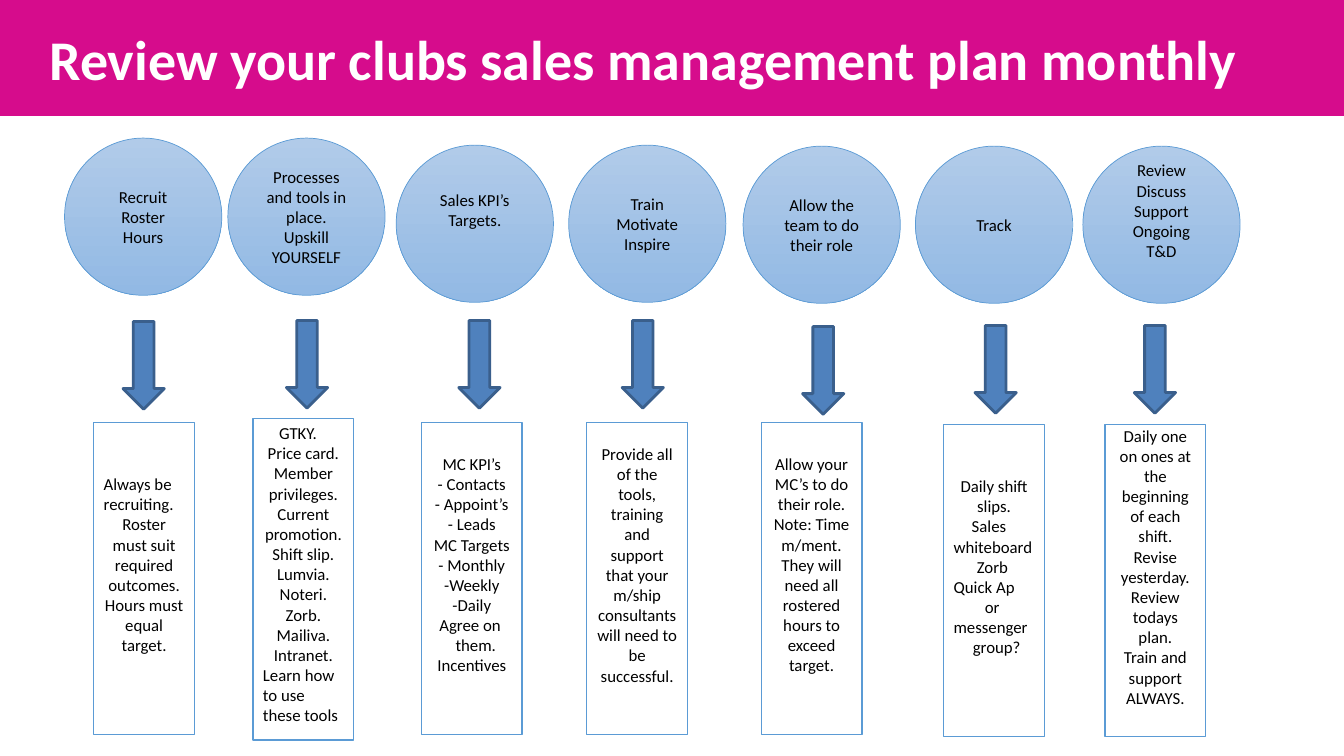
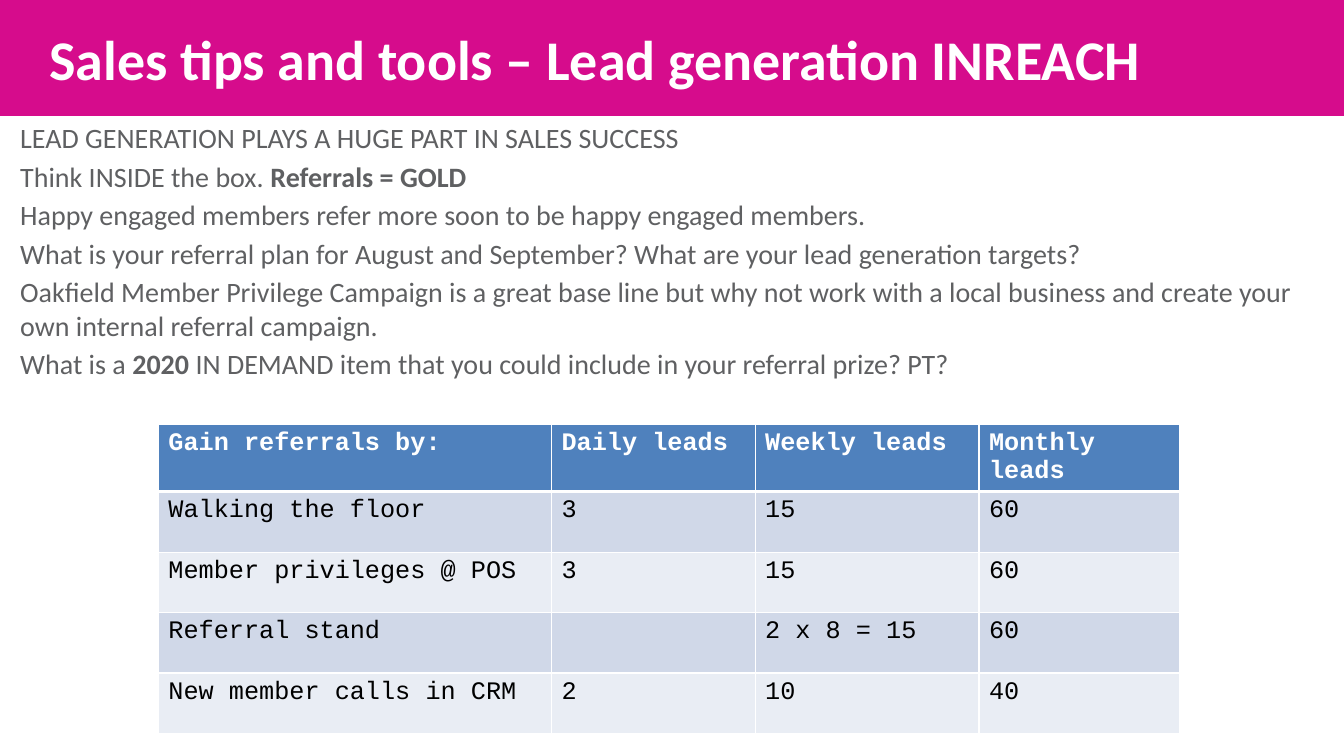
from dataclasses import dataclass

from pptx import Presentation
from pptx.dml.color import RGBColor
from pptx.enum.shapes import MSO_SHAPE
from pptx.enum.text import MSO_ANCHOR, MSO_AUTO_SIZE, PP_ALIGN
from pptx.oxml import parse_xml
from pptx.oxml.ns import nsdecls
from pptx.util import Inches, Pt

# Colours
WHITE = RGBColor(0xFF, 0xFF, 0xFF)
BLACK = RGBColor(0x00, 0x00, 0x00)
PINK = RGBColor(0xD6, 0x0C, 0x8C)
GREY = RGBColor(0x5F, 0x60, 0x62)
SKY_TOP = RGBColor(0xB1, 0xCB, 0xE9)
SKY_BOTTOM = RGBColor(0x92, 0xB9, 0xE4)
OUTLINE = RGBColor(0x5B, 0x9B, 0xD5)
BLUE = RGBColor(0x4F, 0x81, 0xBD)
BLUE_EDGE = RGBColor(0x3A, 0x5F, 0x8C)
BAND_DARK = RGBColor(0xD0, 0xD8, 0xE8)
BAND_LIGHT = RGBColor(0xE9, 0xED, 0xF4)

TITLE_ONLY, TITLE_AND_BODY = 5, 1
CIRCLE, ARROW_W, ARROW_H, BOX_W = 1.56, 0.41, 0.87, 1.0


@dataclass
class Step:
    """One column: a circle, an arrow and a box, each placed by left and top.

    A line is centred text, or (text, first-line indent) when left-aligned.
    A lift is the extra room kept free below the text.
    """
    circle: tuple
    topic: list
    arrow: tuple
    box: tuple
    actions: list
    box_height: float = 3.1
    topic_lift: float = 0
    action_lift: float = 0.28


STEPS = [
    Step((0.64, 1.37), ["Recruit", "Roster", "Hours"], (1.22, 3.19), (0.93, 4.19),
         [("Always be recruiting.", 0), "Roster must suit required outcomes.",
          "Hours must equal target."]),
    Step((2.26, 1.37), ["Processes and tools in place.", "Upskill YOURSELF"],
         (2.84, 3.18), (2.51, 4.15),
         [("GTKY.", 0.16), "Price card.", "Member privileges.", "Current promotion.",
          "Shift slip.", "Lumvia.", "Noteri.", "Zorb.", "Mailiva.", "Intranet.",
          ("Learn how to use these tools", 0)],
         box_height=3.19, action_lift=0.1),
    Step((3.93, 1.44), ["Sales KPI’s", "Targets."], (4.55, 3.18), (4.18, 4.19),
         ["MC KPI’s", "- Contacts", "- Appoint’s", "- Leads", "MC Targets",
          "- Monthly", "-Weekly", "-Daily", ("Agree on", 0.08), ("them.", 0.24),
          "Incentives"],
         topic_lift=0.28),
    Step((5.64, 1.44), ["Train", "Motivate", "Inspire"], (6.17, 3.18), (5.82, 4.19),
         ["Provide all of the tools, training and support that your m/ship "
          "consultants will need to be successful."]),
    Step((7.37, 1.45), ["Allow the team to do their role"], (7.96, 3.24), (7.55, 4.19),
         ["Allow your MC’s to do their role.", "Note: Time m/ment.",
          "They will need all rostered hours to exceed target."]),
    Step((9.08, 1.45), ["Track"], (9.67, 3.23), (9.36, 4.21),
         ["Daily shift slips.", ("Sales whiteboard", 0.18), ("Zorb", 0.23),
          ("Quick Ap", 0), ("or messenger", 0.31), ("group?", 0.19)]),
    Step((10.74, 1.45), ["Review", "Discuss", "Support", "Ongoing", "T&D"],
         (11.25, 3.23), (10.96, 4.21),
         ["Daily one on ones at the beginning of each shift.", "Revise yesterday.",
          "Review todays plan.", "Train and support", "ALWAYS."],
         topic_lift=0.28),
]

# Each paragraph is a list of (text, bold) runs
LEAD_TIPS = [
    [("LEAD GENERATION PLAYS A HUGE PART IN SALES SUCCESS", False)],
    [("Think INSIDE the box. ", False), ("Referrals = GOLD", True)],
    [("Happy engaged members refer more soon to be happy engaged members.", False)],
    [("What is your referral plan for August and September? "
      "What are your lead generation targets?", False)],
    [("Oakfield Member Privilege Campaign is a great base line but why not work with "
      "a local business and create your own internal referral campaign.", False)],
    [("What is a ", False), ("2020", True),
     (" IN DEMAND item that you could include in your referral prize? PT?", False)],
]

REFERRAL_ROWS = [
    ("Gain referrals by:", "Daily leads", "Weekly leads", "Monthly leads"),
    ("Walking the floor", "3", "15", "60"),
    ("Member privileges @ POS", "3", "15", "60"),
    ("Referral stand", "", "2 x 8 = 15", "60"),
    ("New member calls in CRM", "2", "10", "40"),
]


class Deck:
    """Shared style and the slide being built."""

    def __init__(self):
        self.prs = Presentation()
        self.prs.slide_width = Inches(13.33)
        self.prs.slide_height = Inches(7.5)
        self.slide = None

    def new_slide(self, layout, heading):
        """Start a slide with the pink title band."""
        self.slide = self.prs.slides.add_slide(self.prs.slide_layouts[layout])
        band = self.slide.shapes.title
        self.place(band, 0, 0, 13.33, 1.15)
        band.fill.solid()
        band.fill.fore_color.rgb = PINK
        frame = band.text_frame
        frame.auto_size = MSO_AUTO_SIZE.NONE
        frame.vertical_anchor = MSO_ANCHOR.MIDDLE
        para = frame.paragraphs[0]
        self.indent(para, left=0.39)
        self.run(para, heading, 40, WHITE, bold=True)

    @staticmethod
    def place(shape, left, top, width, height):
        shape.left, shape.top = Inches(left), Inches(top)
        shape.width, shape.height = Inches(width), Inches(height)

    @staticmethod
    def indent(para, left=0, first=0):
        para.alignment = PP_ALIGN.LEFT
        props = para._p.get_or_add_pPr()
        props.set("marL", str(Inches(left)))
        props.set("indent", str(Inches(first)))

    @staticmethod
    def run(para, text, size, color, bold=False, font="Calibri"):
        run = para.add_run()
        run.text = text
        run.font.name = font
        run.font.size = Pt(size)
        run.font.bold = bold
        run.font.color.rgb = color

    @staticmethod
    def paragraphs(frame, items):
        """Yield a paragraph of the frame for each item."""
        for number, item in enumerate(items):
            yield frame.paragraphs[0] if number == 0 else frame.add_paragraph(), item

    def shape(self, kind, spot, width, height, edge, weight):
        shape = self.slide.shapes.add_shape(
            kind, Inches(spot[0]), Inches(spot[1]), Inches(width), Inches(height))
        shape.shadow.inherit = False
        shape.line.color.rgb = edge
        shape.line.width = Pt(weight)
        return shape

    def label(self, shape, lines, lift):
        frame = shape.text_frame
        frame.word_wrap = True
        frame.vertical_anchor = MSO_ANCHOR.MIDDLE
        frame.margin_top, frame.margin_bottom = 0, Inches(lift)
        for para, line in self.paragraphs(frame, lines):
            if isinstance(line, str):
                para.alignment = PP_ALIGN.CENTER
                text = line
            else:
                text, first = line
                self.indent(para, first=first)
            self.run(para, text, 12, BLACK)

    def circle(self, spot, lines, lift):
        circle = self.shape(MSO_SHAPE.OVAL, spot, CIRCLE, CIRCLE, OUTLINE, 0.5)
        circle.fill.gradient()
        circle.fill.gradient_angle = 270
        for stop, color in zip(circle.fill.gradient_stops, (SKY_TOP, SKY_BOTTOM)):
            stop.color.rgb = color
        self.label(circle, lines, lift)

    def arrow(self, spot):
        arrow = self.shape(MSO_SHAPE.DOWN_ARROW, spot, ARROW_W, ARROW_H, BLUE_EDGE, 2)
        arrow.fill.solid()
        arrow.fill.fore_color.rgb = BLUE

    def box(self, spot, height, lines, lift):
        box = self.shape(MSO_SHAPE.RECTANGLE, spot, BOX_W, height, OUTLINE, 1)
        box.fill.solid()
        box.fill.fore_color.rgb = WHITE
        self.label(box, lines, lift)

    def body(self, tips):
        body = self.slide.placeholders[1]
        self.place(body, 0.1, 1.15, 13.07, 3)
        frame = body.text_frame
        frame.auto_size = MSO_AUTO_SIZE.NONE
        for para, runs in self.paragraphs(frame, tips):
            self.indent(para)
            para.space_before = Pt(3.4)
            para._p.get_or_add_pPr().append(parse_xml(f"<a:buNone {nsdecls('a')}/>"))
            for text, bold in runs:
                self.run(para, text, 20, GREY, bold)

    @staticmethod
    def borders(cell, bottom):
        props = cell._tc.get_or_add_tcPr()
        for side, weight in (("L", 1), ("R", 1), ("T", 1), ("B", bottom)):
            props.append(parse_xml(
                f'<a:ln{side} {nsdecls("a")} w="{Pt(weight)}"><a:solidFill>'
                f'<a:srgbClr val="{WHITE}"/></a:solidFill></a:ln{side}>'))

    def table(self, rows, widths, left, top, row_height):
        table = self.slide.shapes.add_table(
            len(rows), len(widths), Inches(left), Inches(top),
            Inches(sum(widths)), Inches(row_height * len(rows))).table
        table.horz_banding = False
        for column, width in zip(table.columns, widths):
            column.width = Inches(width)
        for r, row in enumerate(rows):
            header = r == 0
            fill = BLUE if header else BAND_DARK if r % 2 else BAND_LIGHT
            for c, text in enumerate(row):
                cell = table.cell(r, c)
                self.borders(cell, bottom=3 if header else 1)
                cell.fill.solid()
                cell.fill.fore_color.rgb = fill
                if text:
                    self.run(cell.text_frame.paragraphs[0], text, 18,
                             WHITE if header else BLACK, header, "Courier New")


def main():
    deck = Deck()

    # Monthly plan: seven steps
    deck.new_slide(TITLE_ONLY, "Review your clubs sales management plan monthly")
    for step in STEPS:
        deck.circle(step.circle, step.topic, step.topic_lift)
        deck.arrow(step.arrow)
        deck.box(step.box, step.box_height, step.actions, step.action_lift)

    # Lead generation: tips and referral targets
    deck.new_slide(TITLE_AND_BODY, "Sales tips and tools – Lead generation INREACH")
    deck.body(LEAD_TIPS)
    deck.table(REFERRAL_ROWS, (3.9, 2.02, 2.22, 1.99), 1.57, 4.21, 0.6)

    deck.prs.save("out.pptx")


if __name__ == "__main__":
    main()
